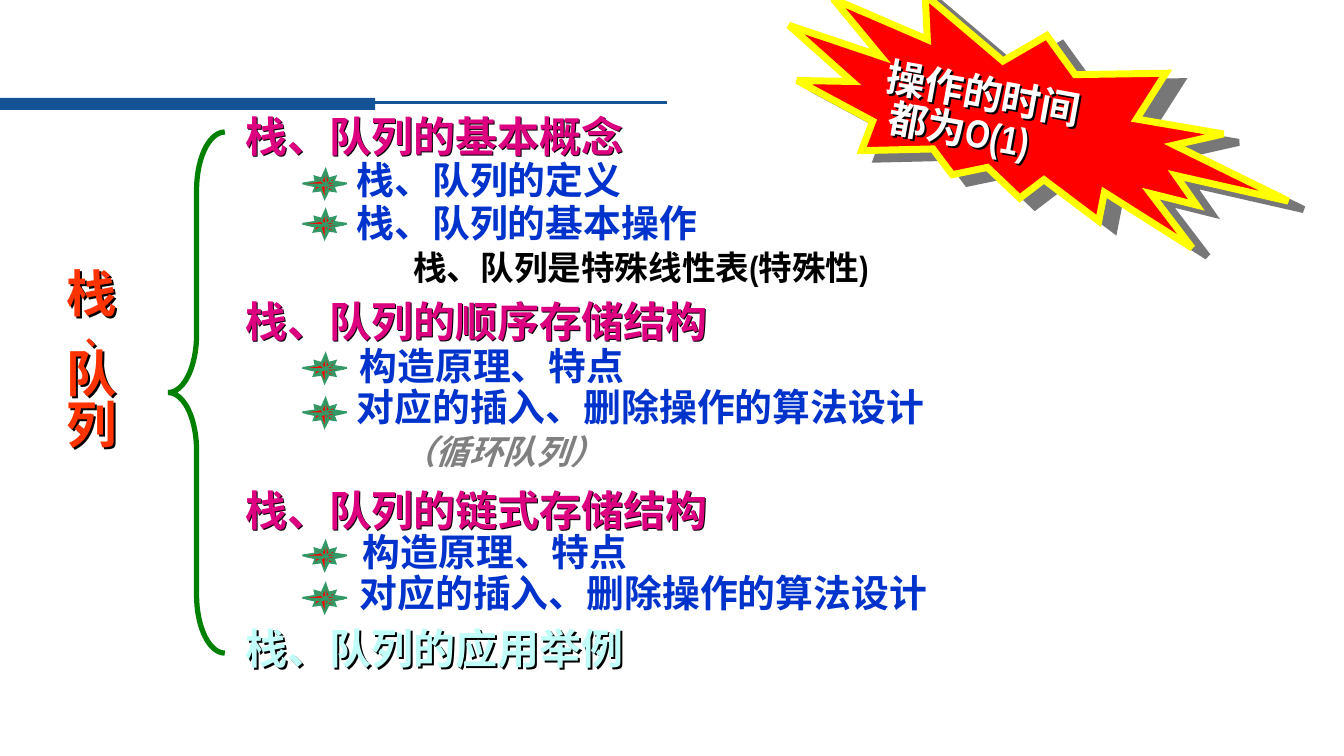
from lxml.etree import SubElement
from pptx import Presentation
from pptx.dml.color import RGBColor
from pptx.enum.shapes import MSO_CONNECTOR as Link, MSO_SHAPE as Kind
from pptx.enum.text import MSO_ANCHOR as Anchor, MSO_AUTO_SIZE as Fit, PP_ALIGN as Align
from pptx.oxml.ns import qn
from pptx.util import Inches, Pt

FONT = "Arial Narrow"
NAVY = RGBColor(0x14, 0x53, 0x96)
ORANGE = RGBColor(0xFF, 0x33, 0x00)
PINK = RGBColor(0xDC, 0x00, 0x81)
AQUA = RGBColor(0xC1, 0xFE, 0xF9)
BLUE = RGBColor(0x00, 0x33, 0xCC)
BLACK = RGBColor(0, 0, 0)
GRAY = RGBColor(0x80, 0x80, 0x80)
SMOKE = RGBColor(0x77, 0x77, 0x77)
WHITE = RGBColor(0xFF, 0xFF, 0xFF)
RED = RGBColor(0xFF, 0x00, 0x00)
YELLOW = RGBColor(0xFF, 0xFF, 0x00)
GREEN = RGBColor(0x00, 0x80, 0x00)
JADE = RGBColor(0x33, 0x99, 0x66)

TITLE = [("栈", 36, 0), ("、", 20, 0.19), ("队", 36, 0), ("列", 36, 0)]
BURST = [("操作的时间", 28, 0), ("都为O(1)", 28, 0.09)]
HEADS = [
    ("栈、队列的基本概念", 1.05, PINK, 1),
    ("栈、队列的顺序存储结构", 2.88, PINK, 1),
    ("栈、队列的链式存储结构", 4.76, PINK, 1),
    ("栈、队列的应用举例", 6.13, AQUA, 2),
]
NOTES = [
    ("栈、队列是特殊线性表(特殊性)", 4, 2.4, 7.44, BLACK, False),
    ("（循环队列）", 3.89, 4.23, 3, GRAY, True),
]
ITEMS = [
    ("栈、队列的定义", 3.44, 1.51, 1.68),
    ("栈、队列的基本操作", 3.44, 1.93, 2.08),
    ("构造原理、特点", 3.47, 3.35, 3.51),
    ("对应的插入、删除操作的算法设计", 3.44, 3.76, 3.95),
    ("构造原理、特点", 3.5, 5.2, 5.37),
    ("对应的插入、删除操作的算法设计", 3.47, 5.6, 5.79),
]
STAR = [
    [(23, 0), (19, 9), (12, 7), (13, 12), (0, 14), (13, 17), (11, 22), (19, 21),
     (22, 29), (26, 21), (33, 22), (31, 17), (44, 14), (31, 12), (33, 7), (26, 9)],
    [(23, 2), (23, 15), (19, 12)],
    [(4, 15), (23, 15), (19, 17)],
    [(23, 27), (23, 15), (26, 17)],
    [(41, 15), (23, 15), (26, 12)],
    [(13, 8), (18, 11), (14, 12)],
    [(13, 21), (18, 18), (19, 20)],
    [(32, 21), (27, 18), (31, 17)],
    [(33, 8), (27, 11), (26, 9)],
]


def shade(shape, color, dist, angle):
    shape.shadow.inherit = False
    effects = shape._element.spPr.find(qn("a:effectLst"))
    outer = SubElement(effects, qn("a:outerShdw"), blurRad="0", dist=str(Pt(dist)),
                       dir=str(angle * 60000), algn="ctr", rotWithShape="0")
    SubElement(outer, qn("a:srgbClr"), val=str(color))


def paint(shape, fill, edge=None, width=0):
    shape.shadow.inherit = False
    if fill is None:
        shape.fill.background()
    else:
        shape.fill.solid()
        shape.fill.fore_color.rgb = fill
    if edge is None:
        shape.line.fill.background()
    else:
        shape.line.color.rgb = edge
        shape.line.width = Pt(width)
        SubElement(shape.line._ln, qn("a:miter"), lim="800000")


def write(box, rows, color, wrap=True, space=None, italic=None, shadow=0):
    frame = box.text_frame
    frame.word_wrap = wrap
    frame.auto_size = Fit.NONE
    frame.vertical_anchor = Anchor.TOP
    for i, (text, size, indent) in enumerate(rows):
        para = frame.add_paragraph() if i else frame.paragraphs[0]
        para.alignment = Align.LEFT
        if space:
            para.line_spacing = space
        para._p.get_or_add_pPr().set("marL", str(Inches(indent)))
        para.add_run().text = text
        font = para.font
        font.name, font.size, font.bold = FONT, Pt(size), True
        font.italic = italic
        font.color.rgb = color
    if shadow:
        box.fill.background()
        shade(box, BLACK, shadow, 45)


def label(shapes, text, left, top, width, height, size, color, **style):
    box = shapes.add_textbox(Inches(left), Inches(top), Inches(width), Inches(height))
    write(box, [(text, size, 0)], color, **style)


def star(shapes, left, top):
    for (x, y), *rest in STAR:
        pen = shapes.build_freeform(x, y, scale=Inches(0.01))
        pen.add_line_segments(rest, close=True)
        paint(pen.convert_to_shape(Inches(left), Inches(top)), RED, JADE, 1.25)


deck = Presentation()
deck.slide_width, deck.slide_height = Inches(13.33), Inches(7.5)
slide = deck.slides.add_slide(deck.slide_layouts[5])
shapes = slide.shapes

bar = shapes.add_shape(Kind.RECTANGLE, 0, Inches(0.97), Inches(3.72), Inches(0.12))
paint(bar, NAVY)
rule = shapes.add_connector(Link.STRAIGHT, Inches(3.68), Inches(1.02), Inches(6.62), Inches(1.02))
rule.line.color.rgb = NAVY
rule.line.width = Pt(2.25)
SubElement(rule._element.spPr, qn("a:effectLst"))

title = shapes.title
title.left, title.top = Inches(0.56), Inches(2.64)
title.width, title.height = Inches(0.71), Inches(1.93)
write(title, TITLE, ORANGE, wrap=False, space=0.85, shadow=2)

for text, top, color, depth in HEADS:
    label(shapes, text, 2.34, top, 7.55, 0.6, 30, color, shadow=depth)
for text, left, top, width, color, italic in NOTES:
    label(shapes, text, left, top, width, 0.5, 24, color, italic=italic)
for text, left, top, mark in ITEMS:
    group = shapes.add_group_shape()
    label(group.shapes, text, left, top, 8.67, 0.55, 27, BLUE)
    star(group.shapes, 3, mark)

brace = shapes.add_shape(Kind.LEFT_BRACE, Inches(1.67), Inches(1.31), Inches(0.56), Inches(5.17))
brace.adjustments[0], brace.adjustments[1] = 1.03, 0.5
paint(brace, None, GREEN, 3.75)

burst = shapes.add_shape(Kind.EXPLOSION2, Inches(7.65), Inches(0.21), Inches(5.22), Inches(2))
burst.rotation = 25.7
paint(burst, RED, YELLOW, 5)
shade(burst, SMOKE, 12.5, 29)
words = shapes.add_textbox(Inches(8.63), Inches(0.84), Inches(3.59), Inches(0.9))
words.rotation = 10.4
write(words, BURST, WHITE, space=0.85, shadow=2)

deck.save("out.pptx")
